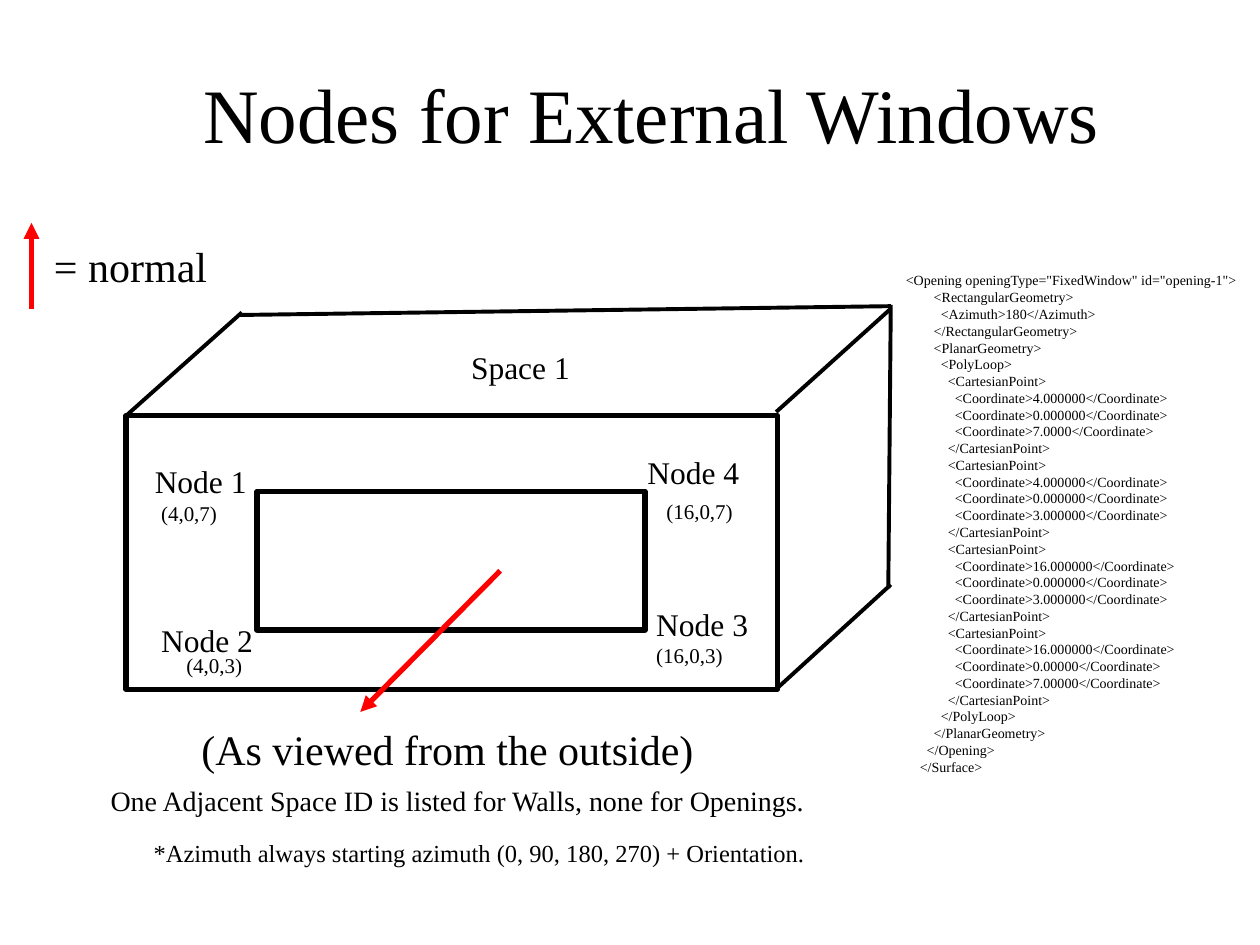
"""Build a slide on the node order and surface normal of an external window."""
from lxml.etree import SubElement
from pptx import Presentation
from pptx.dml.color import RGBColor
from pptx.enum.shapes import MSO_CONNECTOR, MSO_SHAPE
from pptx.enum.text import MSO_ANCHOR, MSO_AUTO_SIZE, PP_ALIGN
from pptx.oxml.ns import qn
from pptx.util import Inches, Pt

BLACK, RED = "000000", "FF0000"
FONT = "Times New Roman"
SPACE_WIDTH = Pt(2)

presentation = Presentation()
presentation.slide_width, presentation.slide_height = Inches(10), Inches(7.5)
CELL = presentation.slide_width / 100
slide = presentation.slides.add_slide(presentation.slide_layouts[5])


def grid(*cells):
    """Turn columns and rows of the 100 by 75 grid into lengths."""
    return [round(cell * CELL) for cell in cells]


def style(font, size, color):
    """Set the typeface, size and colour of a font."""
    font.name, font.size = FONT, Pt(size)
    font.color.rgb = RGBColor.from_string(color)


title = slide.shapes.title
title.left, title.top, title.width, title.height = grid(-5.8, 5.3, 115, 12.5)
title.text_frame.text = "Nodes for External Windows"
title.text_frame.vertical_anchor = MSO_ANCHOR.TOP
title.text_frame.margin_top = 0
title.text_frame.paragraphs[0].alignment = PP_ALIGN.CENTER
style(title.text_frame.paragraphs[0].runs[0].font, 44, BLACK)

wall, window = (10, 33, 51.7, 21.7), (20.4, 39, 30.8, 11)
for box in (wall, window):
    rectangle = slide.shapes.add_shape(MSO_SHAPE.RECTANGLE, *grid(*box))
    rectangle.shadow.inherit = False
    rectangle.fill.background()
    rectangle.line.color.rgb = RGBColor.from_string(BLACK)
    rectangle.line.width = Pt(3)

normals = [(2.5, 24.5, 2.5, 17.7), (39.7, 45.3, 28.6, 56.5)]
edges = [
    (10, 33, 19.2, 24.8),
    (61.6, 32.7, 70.7, 24.5),
    (61.6, 54.7, 70.7, 46.4),
    (18.9, 25, 70.7, 24.3),
    (70.5, 46.7, 70.7, 24.2),
]
for ends in normals + edges:
    is_normal = ends in normals
    connector = slide.shapes.add_connector(MSO_CONNECTOR.STRAIGHT, *grid(*ends))
    connector.line.color.rgb = RGBColor.from_string(RED if is_normal else BLACK)
    connector.line.width = Pt(3 if is_normal else 2.25)
    if is_normal:
        SubElement(connector.line._ln, qn("a:tailEnd"), type="triangle")
    SubElement(connector._element.spPr, qn("a:effectLst"))

points = [
    ("4.000000", "0.000000", "7.0000"),
    ("4.000000", "0.000000", "3.000000"),
    ("16.000000", "0.000000", "3.000000"),
    ("16.000000", "0.00000", "7.00000"),
]
code = [
    (0, '<Opening openingType="FixedWindow" id="opening-1">'),
    (8, "<RectangularGeometry>"),
    (10, "<Azimuth>180</Azimuth>"),
    (8, "</RectangularGeometry>"),
    (8, "<PlanarGeometry>"),
    (10, "<PolyLoop>"),
]
for point in points:
    code.append((12, "<CartesianPoint>"))
    code += [(14, f"<Coordinate>{value}</Coordinate>") for value in point]
    code.append((12, "</CartesianPoint>"))
code += [
    (10, "</PolyLoop>"),
    (8, "</PlanarGeometry>"),
    (6, "</Opening>"),
    (4, "</Surface>"),
]

texts = [
    ((11.3, 36.2, 12.5, 4), 18, [(0, "Node 1")]),
    ((11.8, 48.8, 20.8, 4), 18, [(0, "Node 2")]),
    ((51.1, 47.5, 20.8, 4), 18, [(0, "Node 3")]),
    ((50.4, 35.5, 20.8, 4), 18, [(0, "Node 4")]),
    ((15, 56.9, 59.6, 5), 24, [(0, "(As viewed from the outside)")]),
    ((7.8, 61.7, 64.6, 3.7), 16,
     [(0, "One Adjacent Space ID is listed for Walls, none for Openings.")]),
    ((3.3, 18.6, 15.8, 5), 24, [(0, "= normal")]),
    ((36.4, 27.1, 12.5, 4), 18, [(0, "Space 1")]),
    ((11.8, 39.2, 12.5, 3), 12, [(0, "(4,0,7)")]),
    ((51.9, 39.1, 12.5, 3), 12, [(0, "(16,0,7)")]),
    ((51.1, 50.5, 12.5, 3), 12, [(0, "(16,0,3)")]),
    ((13.8, 51.3, 12.5, 3), 12, [(0, "(4,0,3)")]),
    ((70.9, 21.1, 33.2, 40.9), 8, code),
    ((11.2, 66, 56.8, 3.4), 14,
     [(0, "*Azimuth always starting azimuth (0, 90, 180, 270) + Orientation.")]),
]
for box, size, lines in texts:
    text_frame = slide.shapes.add_textbox(*grid(*box)).text_frame
    text_frame.word_wrap = True
    text_frame.auto_size = MSO_AUTO_SIZE.SHAPE_TO_FIT_TEXT
    text_frame.text = "\n".join(line for _, line in lines)
    for paragraph, (spaces, _) in zip(text_frame.paragraphs, lines):
        if spaces:
            paragraph._p.get_or_add_pPr().set("marL", str(spaces * SPACE_WIDTH))
        style(paragraph.runs[0].font, size, BLACK)

presentation.save("out.pptx")
